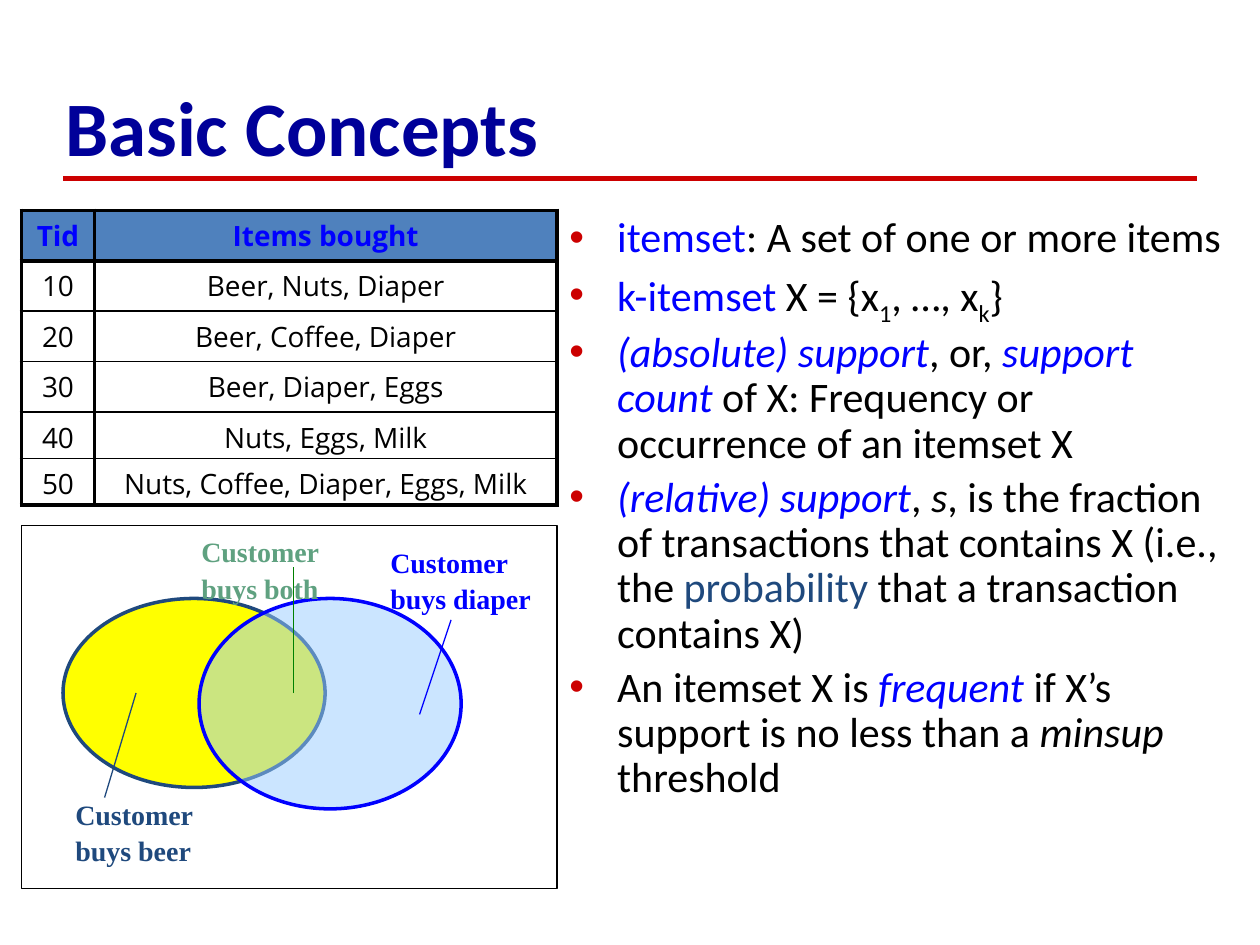
from lxml import etree
from pptx import Presentation
from pptx import util as u
from pptx.dml.color import RGBColor
from pptx.enum import shapes, text
from pptx.oxml.ns import qn

BLACK = RGBColor(0x00, 0x00, 0x00)
NAVY = RGBColor(0x00, 0x00, 0x99)
BLUE = RGBColor(0x00, 0x00, 0xFF)
SLATE = RGBColor(0x1F, 0x49, 0x7D)
RED = RGBColor(0xCC, 0x00, 0x00)
YELLOW = RGBColor(0xFF, 0xFF, 0x00)
SKY = RGBColor(0x99, 0xCC, 0xFF)
GREEN = RGBColor(0x00, 0x80, 0x00)
SAGE = RGBColor(0x5F, 0xA1, 0x80)
HEADER = RGBColor(0x4F, 0x81, 0xBD)


def add_node(parent, tag, **attributes):
    return etree.SubElement(parent, qn(tag), attributes)


class Page:
    body_font = "Calibri"
    label_font = "Times New Roman"
    table_font = "Open Sans"

    def __init__(self, deck):
        self.slide = deck.slides.add_slide(deck.slide_layouts[6])
        self.shapes = self.slide.shapes

    def span(self, para, words, font, size, color, bold=False, italic=False, baseline=0):
        run = para.add_run()
        run.text = words
        run.font.name, run.font.size = font, u.Pt(size)
        run.font.bold, run.font.italic = bold, italic
        run.font.color.rgb = color
        if baseline:
            run.font._element.set("baseline", str(baseline * 1000))

    def text_box(self, place, wrap=True, anchor=text.MSO_ANCHOR.TOP):
        box = self.shapes.add_textbox(*map(u.Inches, place))
        box.text_frame.word_wrap = wrap
        box.text_frame.vertical_anchor = anchor
        return box.text_frame

    def title(self, place, words):
        frame = self.text_box(place, anchor=text.MSO_ANCHOR.MIDDLE)
        self.span(frame.paragraphs[0], words, self.body_font, 44, NAVY, bold=True)

    def bullets(self, place, items):
        frame = self.text_box(place)
        for index, item in enumerate(items):
            para = frame.add_paragraph() if index else frame.paragraphs[0]
            para.line_spacing, para.space_before = 0.9, u.Pt(5)
            props = para._p.get_or_add_pPr()
            props.set("marL", str(u.Inches(0.38)))
            props.set("indent", str(-u.Inches(0.38)))
            add_node(add_node(props, "a:buClr"), "a:srgbClr", val=str(RED))
            add_node(props, "a:buFont", typeface="Arial")
            add_node(props, "a:buChar", char="•")
            for words, color, style in item:
                self.span(para, words, self.body_font, 24, color, **style)

    def label(self, place, lines, color):
        frame = self.text_box(place, wrap=False)
        for index, words in enumerate(lines):
            para = frame.add_paragraph() if index else frame.paragraphs[0]
            para.line_spacing = 1.1
            self.span(para, words, self.label_font, 16, color, bold=True)

    def shape(self, kind, place, line, width, fill=None, alpha=None):
        shape = self.shapes.add_shape(kind, *map(u.Inches, place))
        shape.shadow.inherit = False
        shape.line.color.rgb, shape.line.width = line, u.Pt(width)
        if fill is None:
            shape.fill.background()
            return
        shape.fill.solid()
        shape.fill.fore_color.rgb = fill
        if alpha:
            color = shape._element.spPr.find(qn("a:solidFill"))[0]
            add_node(color, "a:alpha", val=str(alpha * 1000))

    def line(self, start, end, color, width=0.75):
        line = self.shapes.add_connector(
            shapes.MSO_CONNECTOR.STRAIGHT, *map(u.Inches, start + end))
        line.line.color.rgb, line.line.width = color, u.Pt(width)
        add_node(line._element.spPr, "a:effectLst")

    def border(self, cell, widths):
        props = cell._tc.get_or_add_tcPr()
        for index, (side, width) in enumerate(zip("LRTB", widths)):
            edge = etree.Element(qn("a:ln" + side), w=str(u.Pt(width)))
            add_node(add_node(edge, "a:solidFill"), "a:srgbClr", val=str(BLACK))
            props.insert(index, edge)

    def table(self, place, widths, heights, rows):
        table = self.shapes.add_table(len(rows), len(widths), *map(u.Inches, place)).table
        table.first_row = table.horz_banding = False
        for column, width in zip(table.columns, widths):
            column.width = u.Inches(width)
        last = len(rows) - 1
        for r, (row, height) in enumerate(zip(rows, heights)):
            table.rows[r].height = u.Inches(height)
            for c, words in enumerate(row):
                cell, head = table.cell(r, c), r == 0
                if head:
                    cell.fill.solid()
                    cell.fill.fore_color.rgb = HEADER
                else:
                    cell.fill.background()
                top = 2.25 if r <= 1 else 1
                bottom = 2.25 if r in (0, last) else 1
                self.border(cell, (2.25, 2.25, top, bottom))
                para = cell.text_frame.paragraphs[0]
                para.alignment = text.PP_ALIGN.CENTER
                self.span(para, words, self.table_font, 16,
                          BLUE if head else BLACK, bold=head)


deck = Presentation()
deck.slide_width, deck.slide_height = u.Inches(10), u.Inches(7.5)
page = Page(deck)

# Heading and rule
page.line((0.5, 1.42), (9.5, 1.42), RED, 2.75)
page.title((0.42, 0.58, 8.75, 0.83), "Basic Concepts")

# Definitions
PLAIN, ITALIC, SUB = {}, {"italic": True}, {"baseline": -25}
page.bullets((4.42, 1.67, 5.42, 5.42), [
    [("itemset", BLUE, PLAIN), (": A set of one or more items", BLACK, PLAIN)],
    [("k-itemset", BLUE, PLAIN), (" X = {x", BLACK, PLAIN), ("1", BLACK, SUB),
     (", …, x", BLACK, PLAIN), ("k", BLACK, SUB), ("}", BLACK, PLAIN)],
    [("(absolute) support", BLUE, ITALIC), (", or, ", BLACK, PLAIN),
     ("support count", BLUE, ITALIC),
     (" of X: Frequency or occurrence of an itemset X", BLACK, PLAIN)],
    [("(relative) support", BLUE, ITALIC), (", ", BLACK, PLAIN), ("s", BLACK, ITALIC),
     (", is the fraction of transactions that contains X (i.e., the ", BLACK, PLAIN),
     ("probability", SLATE, PLAIN), (" that a transaction contains X)", BLACK, PLAIN)],
    [("An itemset X is ", BLACK, PLAIN), ("frequent", BLUE, ITALIC),
     (" if X’s support is no less than a ", BLACK, PLAIN),
     ("minsup", BLACK, ITALIC), (" threshold", BLACK, PLAIN)],
])

# Venn diagram
OVAL, FRAME = shapes.MSO_SHAPE.OVAL, shapes.MSO_SHAPE.RECTANGLE
page.shape(OVAL, (0.5, 4.75, 2.08, 1.5), SLATE, 2, YELLOW)
page.shape(OVAL, (1.58, 4.75, 2.08, 1.67), BLUE, 2, SKY, alpha=50)
page.line((1.08, 5.5), (0.83, 6.33), SLATE)
page.line((3.33, 5.67), (3.58, 4.92), BLUE)
page.line((2.33, 5.5), (2.33, 4.5), GREEN)
page.label((3, 4.25, 1.33, 0.69), ("Customer", "buys diaper"), BLUE)
page.label((1.5, 4.17, 1.14, 0.69), ("Customer", "buys both"), SAGE)
page.label((0.5, 6.25, 1.14, 0.69), ("Customer", "buys beer"), SLATE)
page.shape(FRAME, (0.17, 4.17, 4.25, 2.88), BLACK, 0.75)

# Transactions
page.table((0.17, 1.67, 4.25, 2.33), (0.58, 3.67), [0.4] * 4 + [0.37] * 2, [
    ("Tid", "Items bought"),
    ("10", "Beer, Nuts, Diaper"),
    ("20", "Beer, Coffee, Diaper"),
    ("30", "Beer, Diaper, Eggs"),
    ("40", "Nuts, Eggs, Milk"),
    ("50", "Nuts, Coffee, Diaper, Eggs, Milk"),
])

deck.save("out.pptx")
